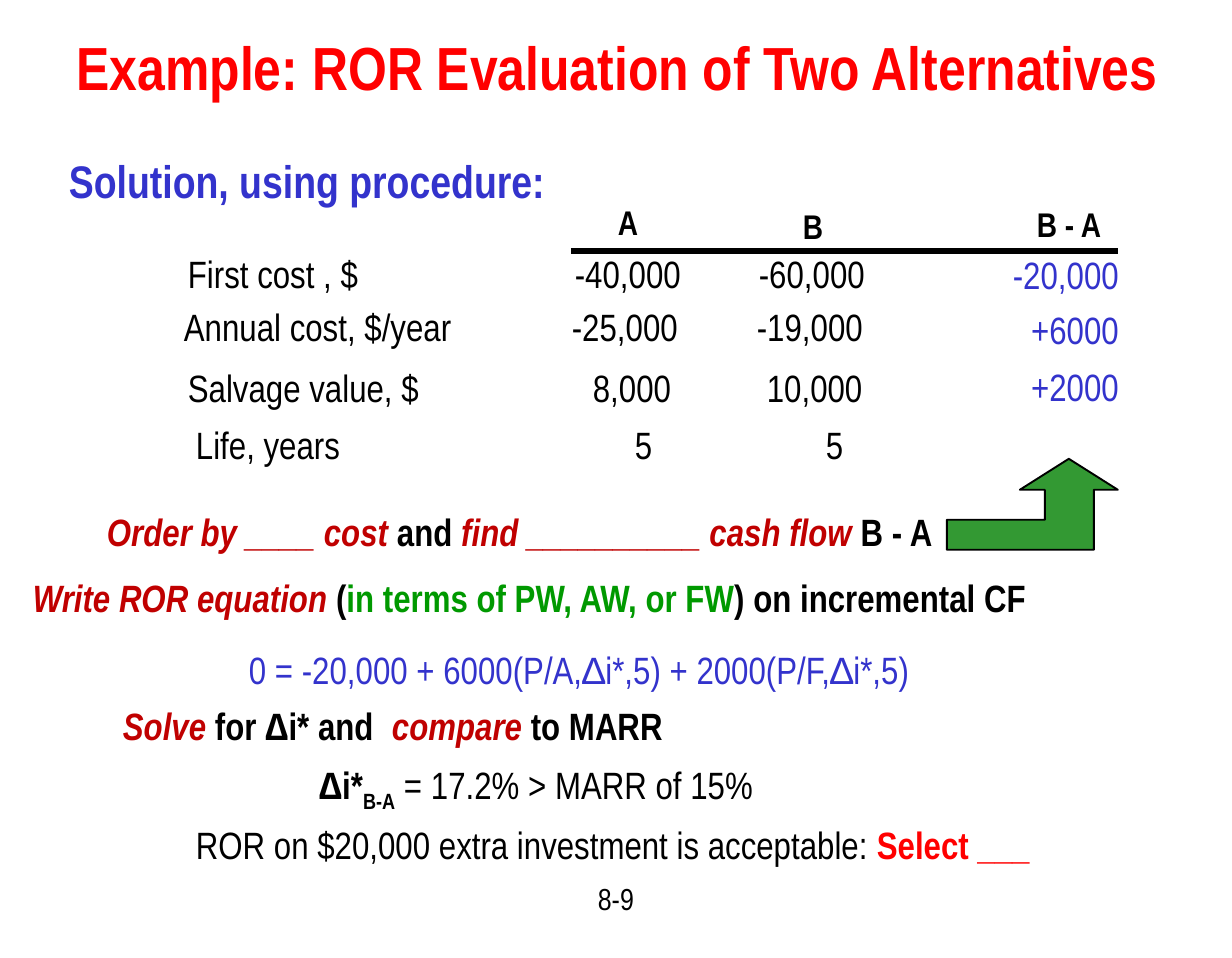
from pptx import Presentation
from pptx.dml.color import RGBColor
from pptx.enum.shapes import MSO_CONNECTOR as Conn
from pptx.enum.text import PP_ALIGN as Align
from pptx.oxml.ns import qn
from pptx.util import Inches, Pt
from lxml.etree import SubElement

EMU_PER_PX = 6679
INSET = 14
BLACK = RGBColor(0x00, 0x00, 0x00)
RED = RGBColor(0xFF, 0x00, 0x00)
DARK_RED = RGBColor(0xC0, 0x00, 0x00)
BLUE = RGBColor(0x33, 0x33, 0xCC)
GREEN = RGBColor(0x00, 0x99, 0x00)
ARROW_GREEN = RGBColor(0x33, 0x99, 0x33)


def px(n):
    return n * EMU_PER_PX


class Deck:
    font = "Arial Narrow"

    def __init__(self):
        self.prs = Presentation()
        self.prs.slide_width, self.prs.slide_height = Inches(9), Inches(7)
        self.s = self.prs.slides.add_slide(self.prs.slide_layouts[6])

    def text(self, x, y, w, h, runs, size=20, align=Align.LEFT, tabs=()):
        tf = self.s.shapes.add_textbox(px(x), px(y), px(w), px(h)).text_frame
        tf.word_wrap = True
        tf.margin_left = tf.margin_right = px(INSET)
        tf.margin_top = tf.margin_bottom = px(INSET // 2)
        p = tf.paragraphs[0]
        p.alignment = align
        if tabs:
            stops = SubElement(p._p.get_or_add_pPr(), qn("a:tabLst"))
            for tab in tabs:
                SubElement(stops, qn("a:tab"), pos=str(px(tab - x - INSET)), algn="l")
        for words, color, style in runs:
            r = p.add_run()
            r.text = words
            r.font.name, r.font.size = self.font, Pt(size)
            r.font.bold, r.font.italic = "b" in style, "i" in style
            r.font.color.rgb = color
            if "s" in style:
                r._r.get_or_add_rPr().set("baseline", "-25000")

    def rule(self, x1, y1, x2, y2, color, width):
        c = self.s.shapes.add_connector(Conn.STRAIGHT, px(x1), px(y1), px(x2), px(y2))
        c.line.color.rgb, c.line.width = color, Pt(width)
        SubElement(c._element.spPr, qn("a:effectLst"))

    def outline(self, points, fill, color):
        fb = self.s.shapes.build_freeform(*points[0], scale=EMU_PER_PX)
        fb.add_line_segments(points[1:], close=True)
        sp = fb.convert_to_shape()
        sp.shadow.inherit = False
        sp.fill.solid()
        sp.fill.fore_color.rgb = fill
        sp.line.color.rgb, sp.line.width = color, Pt(1)


def main():
    d = Deck()
    d.text(534, 873, 164, 64, [("8-9", BLACK, "")], 16, Align.CENTER)
    d.text(19, 23, 1198, 103, [("Example: ROR Evaluation of Two Alternatives", RED, "b")],
           32, Align.CENTER)
    d.text(55, 146, 530, 69, [("Solution, using procedure:", BLUE, "b")], 24)

    for name, x, y, w in [("A", 604, 194, 60), ("B", 789, 198, 60), ("B - A", 1023, 196, 110)]:
        d.text(x, y, w, 55, [(name, BLACK, "b")], 18)

    for x, y, tabs, row in [
        (174, 244, (575, 759), ("First cost , $", "-40,000", "-60,000")),
        (170, 297, (572, 757), ("Annual cost, $/year", "-25,000", "-19,000")),
        (174, 358, (593, 767), ("Salvage value, $", "8,000", "10,000")),
        (182, 415, (635, 826), ("Life, years", "5", "5")),
    ]:
        d.text(x, y, 731, 60, [("\t".join(row), BLACK, "")], tabs=tabs)

    for y, change in [(245, "-20,000"), (300, "+6000"), (357, "+2000")]:
        d.text(973, y, 160, 60, [(change, BLUE, "")], align=Align.RIGHT)

    d.rule(571, 251, 1118, 251, BLACK, 3)
    d.outline([(1069, 459), (1020, 490), (1045, 490), (1045, 520), (947, 520),
               (947, 550), (1094, 550), (1094, 490), (1118, 490)], ARROW_GREEN, BLACK)

    d.text(93, 502, 880, 60, [
        ("Order by ____ cost ", DARK_RED, "bi"), ("and ", BLACK, "b"),
        ("find __________ cash flow", DARK_RED, "bi"), (" B - A", BLACK, "b")])
    d.text(19, 568, 1114, 60, [
        ("Write ROR equation ", DARK_RED, "bi"), ("(", BLACK, "b"),
        ("in terms of PW, AW, or FW", GREEN, "b"), (") on incremental CF", BLACK, "b")])
    d.text(235, 640, 720, 60, [("0 = -20,000 + 6000(P/A,∆i*,5) + 2000(P/F,∆i*,5)", BLUE, "")])
    d.text(109, 696, 600, 60, [
        ("Solve", DARK_RED, "bi"), (" for ∆i* and\t", BLACK, "b"),
        ("compare ", DARK_RED, "bi"), ("to MARR", BLACK, "b")], tabs=(392,))
    d.text(305, 755, 500, 66, [
        ("∆i*", BLACK, "b"), ("B-A", BLACK, "bs"), (" = 17.2% > MARR of 15%", BLACK, "")])
    d.text(182, 815, 890, 60, [
        ("ROR on $20,000 extra investment is acceptable: ", BLACK, ""),
        ("Select ___", RED, "b")])
    d.prs.save("out.pptx")


if __name__ == "__main__":
    main()
